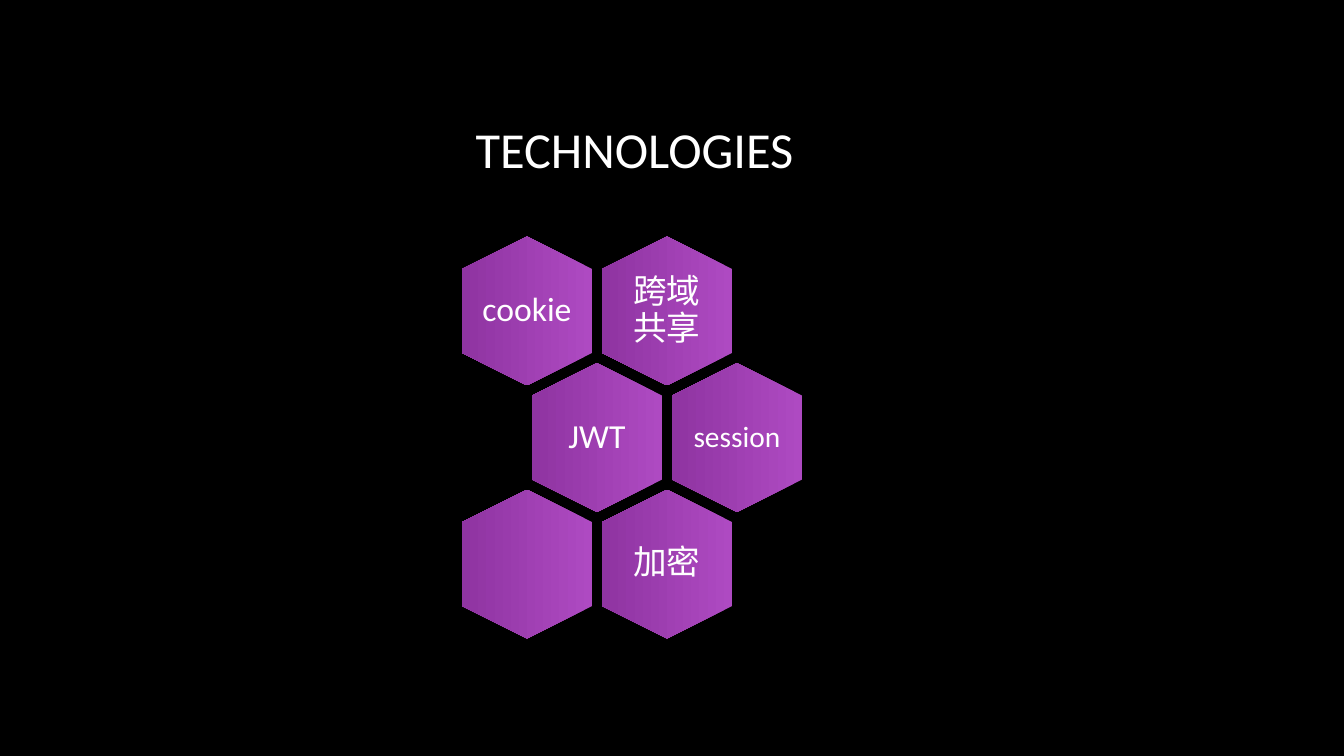
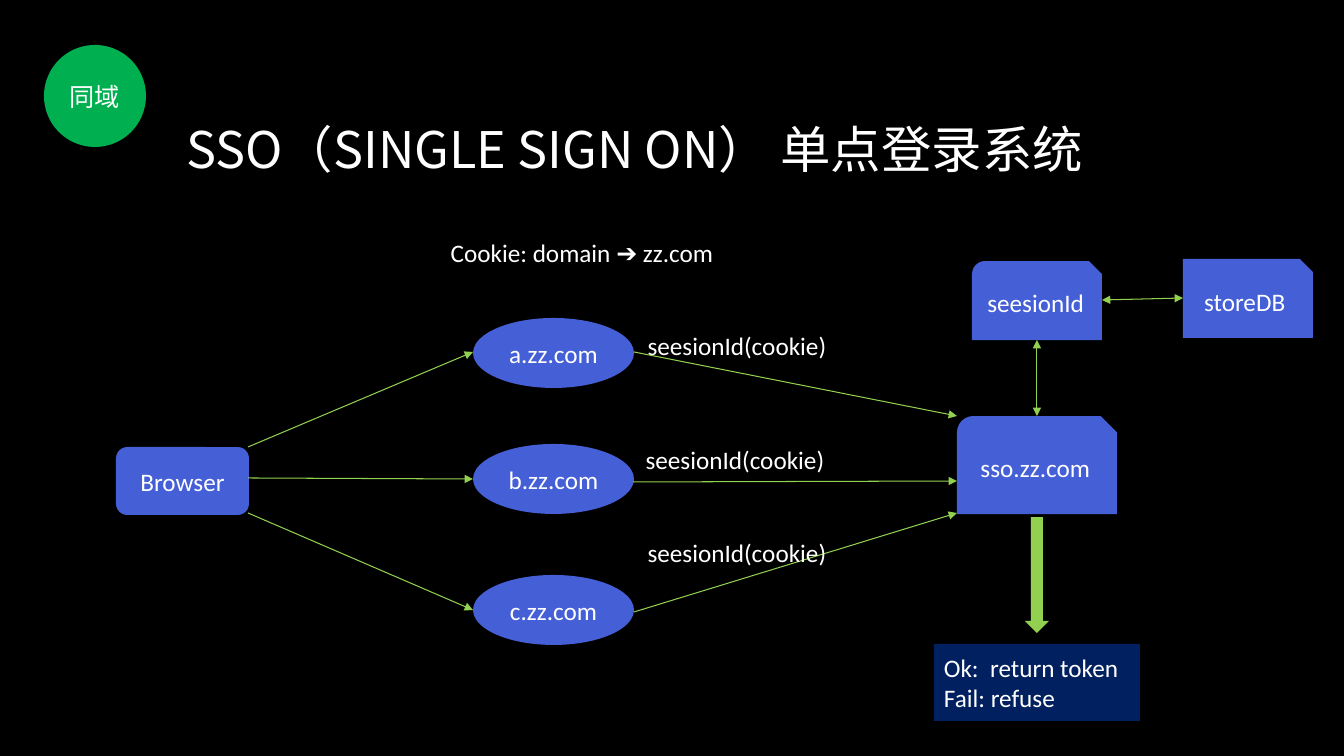
from lxml import etree
from pptx import Presentation
from pptx.dml.color import RGBColor
from pptx.enum.shapes import MSO_CONNECTOR, MSO_SHAPE
from pptx.enum.text import MSO_ANCHOR, PP_ALIGN
from pptx.oxml.ns import qn
from pptx.util import Emu, Pt

LEFT, CENTER = PP_ALIGN.LEFT, PP_ALIGN.CENTER
TOP, MIDDLE = MSO_ANCHOR.TOP, MSO_ANCHOR.MIDDLE
HEX, OVAL, RECT = MSO_SHAPE.HEXAGON, MSO_SHAPE.OVAL, MSO_SHAPE.RECTANGLE
ROUND, DOWN = MSO_SHAPE.ROUNDED_RECTANGLE, MSO_SHAPE.DOWN_ARROW
SNIP, SNIP_ROUND = MSO_SHAPE.SNIP_1_RECTANGLE, MSO_SHAPE.SNIP_ROUND_RECTANGLE
STRAIGHT = MSO_CONNECTOR.STRAIGHT

# Shared style
PX = 914400 / 100.8
LATIN, CJK = "Calibri", "Noto Sans CJK JP"
BLACK, WHITE, BLUE, NAVY = "000000", "FFFFFF", "455FD6", "002060"
GREEN, LIME = "00B050", "92D050"
PURPLES = ["AE4AC2", "8F34A1"]
color = RGBColor.from_string


def px(*vals):
    return [Emu(round(v * PX)) for v in vals]


def write(shape, text, size=18, font=LATIN, align=CENTER, anchor=MIDDLE,
          wrap=True, inset=None, space=None):
    frame = shape.text_frame
    frame.word_wrap = wrap
    frame.vertical_anchor = anchor
    if inset is not None:
        for side in ("left", "top", "right", "bottom"):
            setattr(frame, "margin_" + side, px(inset)[0])
    frame.text = text
    for par in frame.paragraphs:
        par.alignment = align
        par.line_spacing = space
        for run in par.runs:
            style = {"name": font, "size": Pt(size)}
            for key, val in style.items():
                setattr(run.font, key, val)
            run.font.color.rgb = color(WHITE)
            latin = run.font._element.find(qn("a:latin"))
            east = etree.Element(qn("a:ea"), typeface=CJK)
            latin.addnext(east)


prs = Presentation()
prs.slide_width, prs.slide_height = px(1344, 756)

# Black slides with their titles
slides = []
for title, font in (("TECHNOLOGIES", LATIN),
                    ("SSO（SINGLE SIGN ON） 单点登录系统", CJK)):
    slide = prs.slides.add_slide(prs.slide_layouts[6])
    slide.background.fill.solid()
    slide.background.fill.fore_color.rgb = color(BLACK)
    write(slide.shapes.add_textbox(*px(76, 68, 1117, 160)), title, 36, font)
    slides.append(slide.shapes)
tech, flow = slides

# Honeycomb: column step 140, row step 126.5, middle row shifted by half
cells = [
    (0, 0, "cookie", 24, 0), (0, 1, "跨域共享", 24, 10),
    (1, 0, "JWT", 24, 10), (1, 1, "session", 21, 0),
    (2, 0, "", 24, 0), (2, 1, "加密", 24, 10),
]
for row, col, text, size, inset in cells:
    mid_x = 527 + 140 * col + 70 * (row % 2)
    mid_y = 311 + 126.5 * row
    cell = tech.add_shape(HEX, *px(mid_x - 74.5, mid_y - 65, 149, 130))
    cell.rotation = 90
    cell.adjustments[0] = 0.25
    cell.shadow.inherit = False
    cell.line.fill.background()
    cell.fill.gradient()
    cell.fill.gradient_angle = 270
    for stop, tone, spot in zip(cell.fill.gradient_stops, PURPLES, (0, 1)):
        stop.color.rgb = color(tone)
        stop.position = spot
    if text:
        label = tech.add_textbox(*px(mid_x - 45, mid_y - 51.5, 90, 103))
        write(label, text, size, inset=inset, space=0.9)

# Flow nodes
nodes = [
    (OVAL, 473, 318, 161, 70, BLUE, "a.zz.com"),
    (OVAL, 473, 444, 161, 70, BLUE, "b.zz.com"),
    (OVAL, 473, 575, 161, 70, BLUE, "c.zz.com"),
    (ROUND, 116, 447, 133, 68, BLUE, "Browser"),
    (SNIP_ROUND, 957, 416, 160, 98, BLUE, "sso.zz.com"),
    (SNIP_ROUND, 972, 261, 130, 79, BLUE, "seesionId"),
    (SNIP, 1183, 259, 130, 79, BLUE, "storeDB"),
    (OVAL, 44, 45, 102, 102, GREEN, "同域"),
    (DOWN, 1025, 517, 24, 116, LIME, ""),
    (RECT, 934, 644, 206, 77, NAVY, "Ok:  return token\nFail: refuse"),
]
for kind, x, y, w, h, fill, text in nodes:
    node = flow.add_shape(kind, *px(x, y, w, h))
    node.shadow.inherit = False
    node.fill.solid()
    node.fill.fore_color.rgb = color(fill)
    node.line.fill.background()
    if text:
        write(node, text, font=CJK if fill == GREEN else LATIN,
              align=LEFT if fill == NAVY else CENTER)

# Arrows; the last value marks a head at both ends
arrows = [
    (248, 447, 473, 352, False), (634, 352, 957, 416, False),
    (248, 478, 473, 479, False), (633, 482, 957, 481, False),
    (248, 513, 473, 610, False), (634, 612, 957, 513, False),
    (1102, 300, 1183, 298, True), (1037, 340, 1037, 416, True),
]
for x1, y1, x2, y2, both in arrows:
    arrow = flow.add_connector(STRAIGHT, *px(x1, y1, x2, y2))
    arrow.line.color.rgb = color(LIME)
    arrow.line.width = Pt(0.75)
    line = arrow.line._get_or_add_ln()
    for end in ("headEnd", "tailEnd") if both else ("tailEnd",):
        etree.SubElement(line, qn("a:" + end), type="triangle")
    etree.SubElement(arrow._element.spPr, qn("a:effectLst"))

# Captions
captions = [
    (436, 232, 292, "Cookie: domain ➔ zz.com"),
    (636, 325, 202, "seesionId(cookie)"),
    (634, 439, 202, "seesionId(cookie)"),
    (636, 532, 202, "seesionId(cookie)"),
]
for x, y, w, text in captions:
    write(flow.add_textbox(*px(x, y, w, 40)), text, anchor=TOP, wrap=False)

prs.save("out.pptx")
